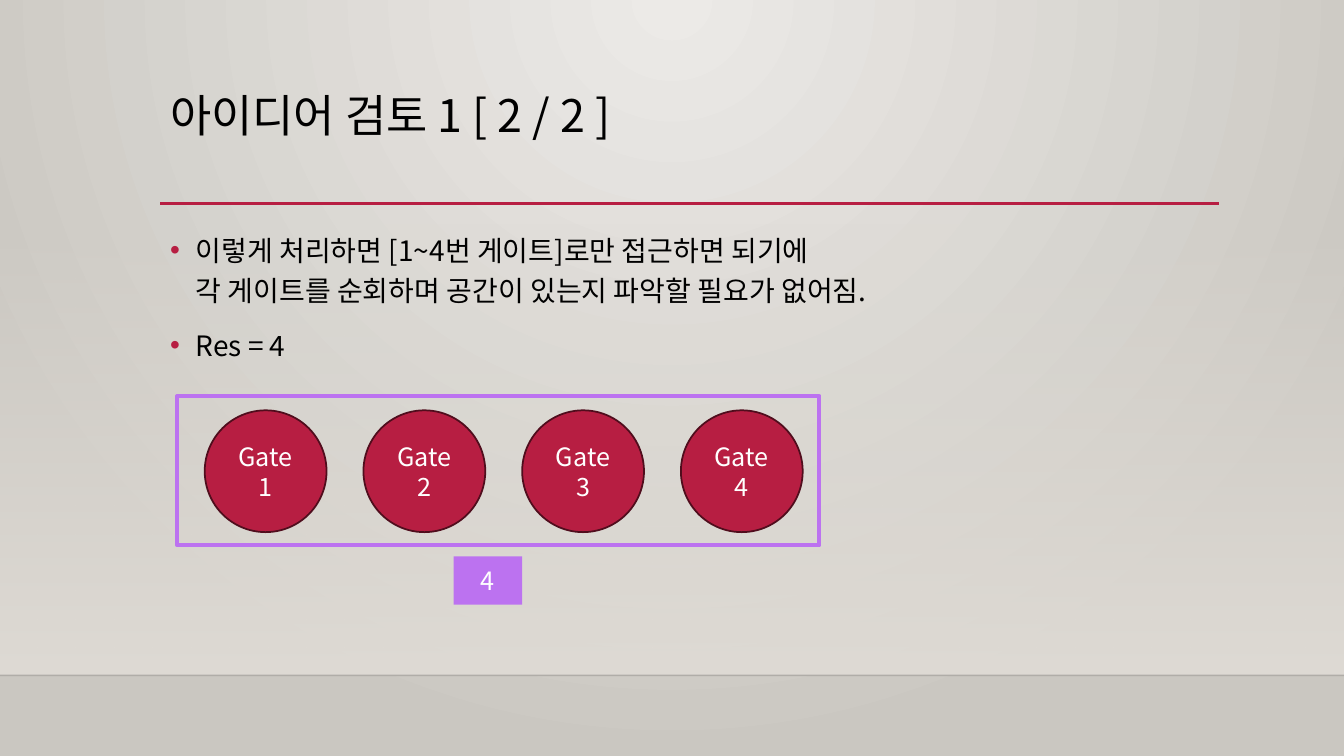
import pptx
import pptx.util
import pptx.dml.color
import pptx.enum.shapes
import pptx.enum.text
import pptx.oxml
import pptx.oxml.ns
from lxml import etree

Cm, Pt = pptx.util.Cm, pptx.util.Pt
RGBColor = pptx.dml.color.RGBColor
Shape = pptx.enum.shapes.MSO_SHAPE
Anchor = pptx.enum.text.MSO_ANCHOR
Align = pptx.enum.text.PP_ALIGN
qn = pptx.oxml.ns.qn

BLACK = RGBColor(0x00, 0x00, 0x00)
WHITE = RGBColor(0xFF, 0xFF, 0xFF)
CRIMSON = RGBColor(0xB7, 0x1E, 0x42)
MAROON = RGBColor(0x50, 0x0D, 0x1D)
VIOLET = RGBColor(0xBC, 0x72, 0xF0)
GLOW = RGBColor(0xEC, 0xEA, 0xE7)
EDGE = RGBColor(0xCA, 0xC7, 0xC1)
WALL = RGBColor(0xDF, 0xDB, 0xD5)

WIDTH, HEIGHT = 33.87, 19.05
FLOOR = 17.02
LEFT, CONTENT_WIDTH = 4.04, 26.67


class Painter:
    """Holds the style and the current slide."""

    font_name = "Noto Sans CJK KR"

    def __init__(self, page):
        self.page = page

    def gradient(self, fill, colors):
        fill.gradient()
        for stop, color in zip(fill.gradient_stops, colors):
            stop.color.rgb = color

    def set_alpha(self, color_element, percent):
        alpha = etree.SubElement(color_element, qn("a:alpha"))
        alpha.set("val", str(percent * 1000))

    def background(self, inner, outer):
        self.gradient(self.page.background.fill, (inner, outer))
        gradient = next(self.page.element.iter(qn("a:gradFill")))
        gradient.remove(gradient.find(qn("a:lin")))
        circle = etree.SubElement(gradient, qn("a:path"), path="circle")
        etree.SubElement(circle, qn("a:fillToRect"),
                         l="43000", t="0", r="43000", b="100000")

    def line(self, start, end, y, color, width, opacity=100):
        connector = self.page.shapes.add_connector(
            pptx.enum.shapes.MSO_CONNECTOR.STRAIGHT,
            Cm(start), Cm(y), Cm(end), Cm(y))
        connector.line.color.rgb = color
        connector.line.width = Pt(width)
        properties = connector.element.spPr
        etree.SubElement(properties, qn("a:effectLst"))
        if opacity < 100:
            self.set_alpha(next(properties.iter(qn("a:srgbClr"))), opacity)

    def shape(self, kind, box, fill=None, outline=None, width=1.0, label=None):
        shape = self.page.shapes.add_shape(kind, *map(Cm, box))
        shape.shadow.inherit = False
        if fill is None:
            shape.fill.background()
        else:
            shape.fill.solid()
            shape.fill.fore_color.rgb = fill
        if outline is None:
            shape.line.fill.background()
        else:
            shape.line.color.rgb = outline
            shape.line.width = Pt(width)
        if label:
            frame = shape.text_frame
            frame.word_wrap = True
            frame.vertical_anchor = Anchor.MIDDLE
            para = frame.paragraphs[0]
            para.alignment = Align.CENTER
            self.span(para, label, 18, WHITE)
        return shape

    def span(self, para, text, size, color):
        span = para.add_run()
        span.text = text
        span.font.size = Pt(size)
        span.font.name = self.font_name
        span.font.color.rgb = color
        etree.SubElement(span.font._element, qn("a:ea"), typeface=self.font_name)

    def bullet(self, para):
        properties = para._p.get_or_add_pPr()
        properties.set("marL", str(Cm(0.64)))
        properties.set("indent", str(-Cm(0.64)))
        color = etree.SubElement(properties, qn("a:buClr"))
        etree.SubElement(color, qn("a:srgbClr"), val=str(CRIMSON))
        etree.SubElement(properties, qn("a:buFont"), typeface="Arial")
        etree.SubElement(properties, qn("a:buChar"), char="•")

    def text(self, box, paragraphs, size, spacing, bulleted=False):
        frame = self.page.shapes.add_textbox(*map(Cm, box)).text_frame
        frame.word_wrap = True
        for index, lines in enumerate(paragraphs):
            para = frame.add_paragraph() if index else frame.paragraphs[0]
            if bulleted:
                self.bullet(para)
            para.line_spacing = spacing
            para.space_before = Pt(10 if index else 0)
            for number, words in enumerate(lines):
                if number:
                    para.add_line_break()
                self.span(para, words, size, BLACK)


def main():
    deck = pptx.Presentation()
    deck.slide_width, deck.slide_height = Cm(WIDTH), Cm(HEIGHT)
    page = deck.slides.add_slide(deck.slide_layouts[6])
    painter = Painter(page)

    # Backdrop: a wall that fades in downwards to the floor line
    painter.background(GLOW, EDGE)
    wall = painter.shape(Shape.RECTANGLE, (0, 5.61, WIDTH, FLOOR - 5.61), WALL)
    painter.gradient(wall.fill, (WALL, WALL))
    wall.fill.gradient_angle = 270
    painter.set_alpha(next(wall.element.spPr.iter(qn("a:srgbClr"))), 0)
    painter.line(0, WIDTH, FLOOR, BLACK, 1, opacity=20)

    # Title and rule
    painter.line(LEFT, 30.73, 5.13, CRIMSON, 2.5)
    painter.text((LEFT, 2.24, CONTENT_WIDTH, 2.92),
                 [["아이디어 검토 1 [ 2 / 2 ]"]], 32, 0.9)

    # Explanation
    painter.text((LEFT, 5.59, CONTENT_WIDTH, 9.58), [
        ["이렇게 처리하면 [1~4번 게이트]로만 접근하면 되기에",
         "각 게이트를 순회하며 공간이 있는지 파악할 필요가 없어짐."],
        ["Res = 4"],
    ], 20, 1.2, bulleted=True)

    # Gates, the frame around them and their count
    gate_count, gate_size, gate_step = 4, 3.07, 4.0
    for index in range(gate_count):
        painter.shape(Shape.OVAL,
                      (5.16 + index * gate_step, 10.34, gate_size, gate_size),
                      CRIMSON, MAROON, 1.25, f"Gate{index + 1}")
    painter.shape(Shape.RECTANGLE, (4.47, 9.98, 16.18, 3.76),
                  outline=VIOLET, width=3)
    painter.shape(Shape.RECTANGLE, (11.43, 14.02, 1.73, 1.22),
                  VIOLET, label=str(gate_count))

    deck.save("out.pptx")


if __name__ == "__main__":
    main()
